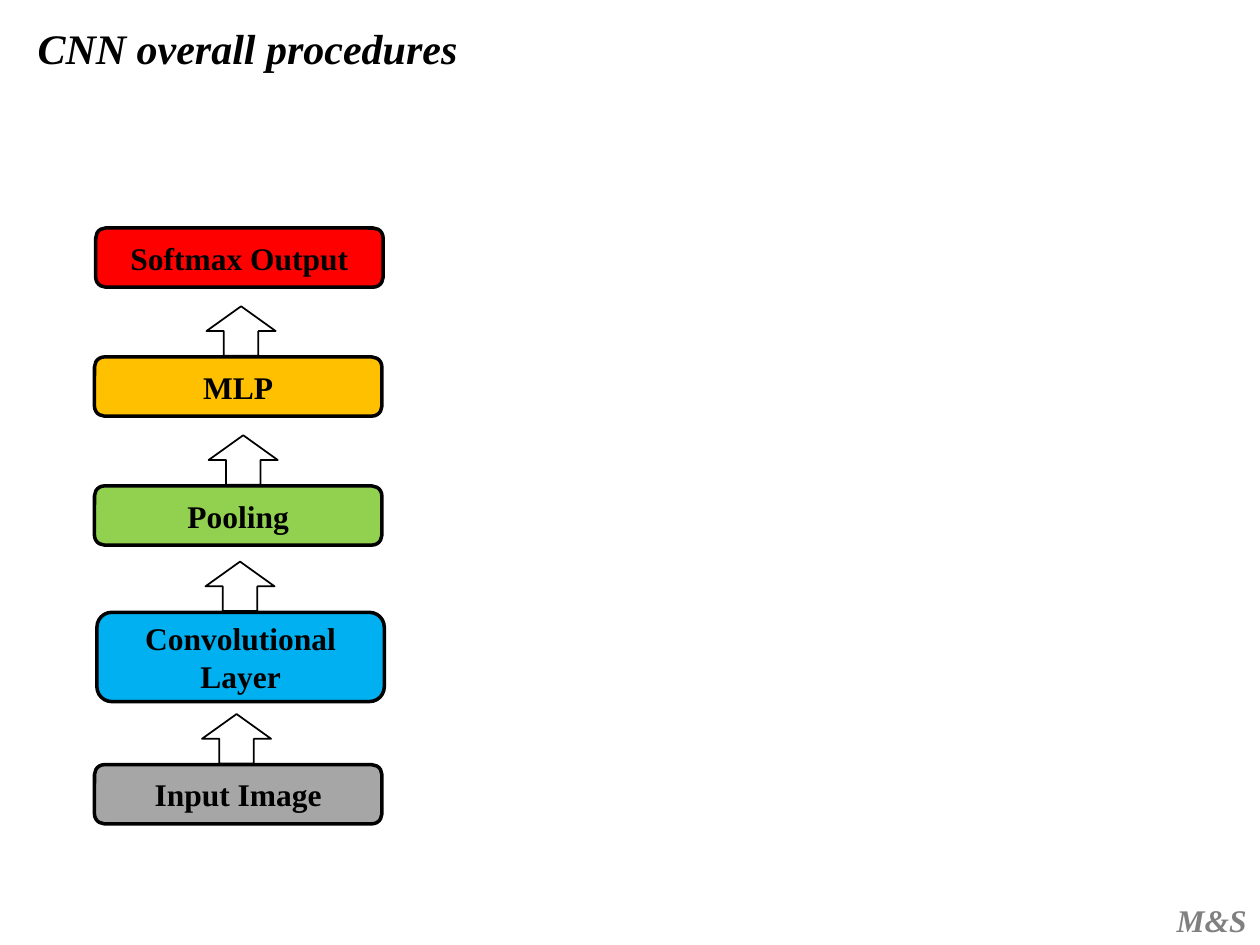
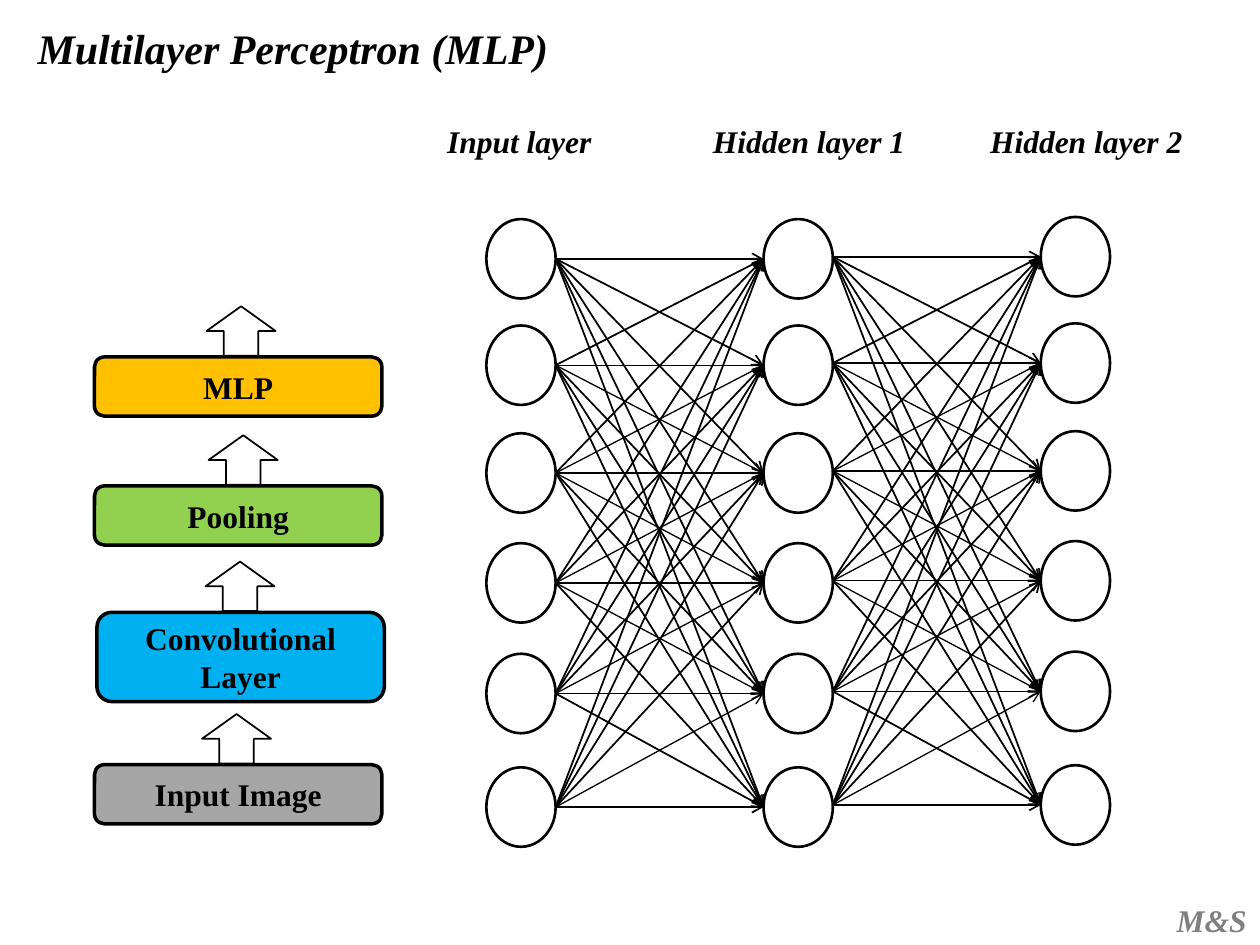
from dataclasses import dataclass
from itertools import pairwise, product

from lxml.etree import SubElement
from pptx import Presentation
from pptx.dml.color import RGBColor
from pptx.enum.shapes import MSO_CONNECTOR, MSO_SHAPE
from pptx.enum.text import MSO_ANCHOR, MSO_AUTO_SIZE, PP_ALIGN
from pptx.oxml.ns import qn
from pptx.shapes.autoshape import Shape
from pptx.slide import Slide
from pptx.text.text import TextFrame
from pptx.util import Pt


@dataclass(frozen=True)
class Theme:
    font: str = "Times New Roman"
    title_size: float = 24
    body_size: float = 18
    ink: str = "000000"
    paper: str = "FFFFFF"
    footer: str = "808080"
    gray: str = "A6A6A6"
    blue: str = "00B0F0"
    green: str = "92D050"
    amber: str = "FFC000"
    red: str = "FF0000"


@dataclass(frozen=True)
class Stage:
    """One step of the CNN, with the left edge of the arrow that leaves it."""
    label: str
    color: str
    left: float
    top: float
    arrow_left: float | None = None
    height: float = 33.8


@dataclass(frozen=True)
class Layer:
    """One column of neurons; lift raises it and the links that enter it."""
    label: str
    label_left: float
    label_width: float
    lift: float = 0


THEME = Theme()

STAGE_WIDTH = 164.2
ARROW_WIDTH, ARROW_HEIGHT, ARROW_RISE = 39.5, 28.3, 29
STAGES = [
    Stage("Input Image", THEME.gray, 54, 437, 115.4),
    Stage("Convolutional Layer", THEME.blue, 55.4, 349.9, 117.4, 51),
    Stage("Pooling", THEME.green, 54, 277.7, 119.2),
    Stage("MLP", THEME.amber, 54, 204, 118),
    Stage("Softmax Output", THEME.red, 54.7, 130.3),
]

NEURON_WIDTH, NEURON_HEIGHT = 39.6, 45.4
FIRST_LAYER_LEFT, LAYER_STEP = 277.9, 158.4
NEURON_TOPS = [125.2, 186, 247.6, 310.4, 373.6, 438.5]
LAYERS = [
    Layer("Input layer", 248.4, 97.9),
    Layer("Hidden layer 1", 400.3, 125.3),
    Layer("Hidden layer 2", 558.7, 125.3, lift=1.2),
]


def add_run(frame: TextFrame, text: str, size: float, color: str, italic: bool) -> None:
    run = frame.paragraphs[0].add_run()
    run.text = text
    run.font.name = THEME.font
    run.font.size = Pt(size)
    run.font.bold = True
    run.font.italic = italic
    run.font.color.rgb = RGBColor.from_string(color)


def add_caption(slide: Slide, text: str, left: float, top: float, width: float,
                height: float = 28.8, size: float = THEME.body_size,
                color: str = THEME.ink, wrap: bool = False) -> None:
    frame = slide.shapes.add_textbox(Pt(left), Pt(top), Pt(width), Pt(height)).text_frame
    frame.word_wrap = wrap
    frame.auto_size = MSO_AUTO_SIZE.SHAPE_TO_FIT_TEXT
    add_run(frame, text, size, color, italic=True)


def add_outlined(slide: Slide, kind: MSO_SHAPE, left: float, top: float, width: float,
                 height: float, fill: str, line_width: float) -> Shape:
    shape = slide.shapes.add_shape(kind, Pt(left), Pt(top), Pt(width), Pt(height))
    shape.shadow.inherit = False
    shape.fill.solid()
    shape.fill.fore_color.rgb = RGBColor.from_string(fill)
    shape.line.color.rgb = RGBColor.from_string(THEME.ink)
    shape.line.width = Pt(line_width)
    return shape


def add_stage(slide: Slide, stage: Stage) -> None:
    box = add_outlined(slide, MSO_SHAPE.ROUNDED_RECTANGLE, stage.left, stage.top,
                       STAGE_WIDTH, stage.height, stage.color, 2)
    frame = box.text_frame
    frame.word_wrap = True
    frame.vertical_anchor = MSO_ANCHOR.MIDDLE
    frame.paragraphs[0].alignment = PP_ALIGN.CENTER
    add_run(frame, stage.label, THEME.body_size, THEME.ink, italic=False)


def add_stages(slide: Slide, stages: list[Stage]) -> None:
    for stage in stages:
        add_stage(slide, stage)
    for stage in stages:
        if stage.arrow_left is not None:
            arrow = add_outlined(slide, MSO_SHAPE.DOWN_ARROW, stage.arrow_left,
                                 stage.top - ARROW_RISE, ARROW_WIDTH, ARROW_HEIGHT,
                                 THEME.paper, 1)
            arrow.rotation = 180


def add_link(slide: Slide, x1: float, y1: float, x2: float, y2: float, width: float) -> None:
    link = slide.shapes.add_connector(MSO_CONNECTOR.STRAIGHT, Pt(x1), Pt(y1), Pt(x2), Pt(y2))
    link.line.color.rgb = RGBColor.from_string(THEME.ink)
    link.line.width = Pt(width)
    SubElement(link.line._get_or_add_ln(), qn("a:tailEnd"), type="arrow")
    SubElement(link._element.spPr, qn("a:effectLst"))


def link_width(source: int, target: int) -> float:
    """Links between inner neighbours are thinner than the rest."""
    inner = source > 0 and 0 < target < len(NEURON_TOPS) - 1
    return 0.75 if inner and abs(source - target) <= 1 else 1


def add_network(slide: Slide) -> None:
    lefts = [FIRST_LAYER_LEFT + i * LAYER_STEP for i in range(len(LAYERS))]
    for layer, left in zip(LAYERS, lefts):
        add_caption(slide, layer.label, layer.label_left, 66.2, layer.label_width)
        for top in NEURON_TOPS:
            add_outlined(slide, MSO_SHAPE.OVAL, left, top - layer.lift,
                         NEURON_WIDTH, NEURON_HEIGHT, THEME.paper, 1.5)
    for (_, left), (target_layer, target_left) in pairwise(zip(LAYERS, lefts)):
        centers = [top + NEURON_HEIGHT / 2 - target_layer.lift for top in NEURON_TOPS]
        for (i, start), (j, end) in product(enumerate(centers), repeat=2):
            add_link(slide, left + NEURON_WIDTH, start, target_left, end, link_width(i, j))


def add_titled_slide(deck: Presentation, title: str) -> Slide:
    slide = deck.slides.add_slide(deck.slide_layouts[6])
    add_caption(slide, "M&S", 665.3, 511.2, 54.7, color=THEME.footer)
    add_caption(slide, title, 14.4, 9.4, 640.8, 36, THEME.title_size, wrap=True)
    return slide


def main() -> None:
    deck = Presentation()
    deck.slide_width, deck.slide_height = Pt(720), Pt(540)

    procedures = add_titled_slide(deck, "CNN overall procedures")
    add_stages(procedures, STAGES)

    perceptron = add_titled_slide(deck, "Multilayer Perceptron (MLP)")
    add_stages(perceptron, STAGES[:-1])
    add_network(perceptron)

    deck.save("out.pptx")


if __name__ == "__main__":
    main()
